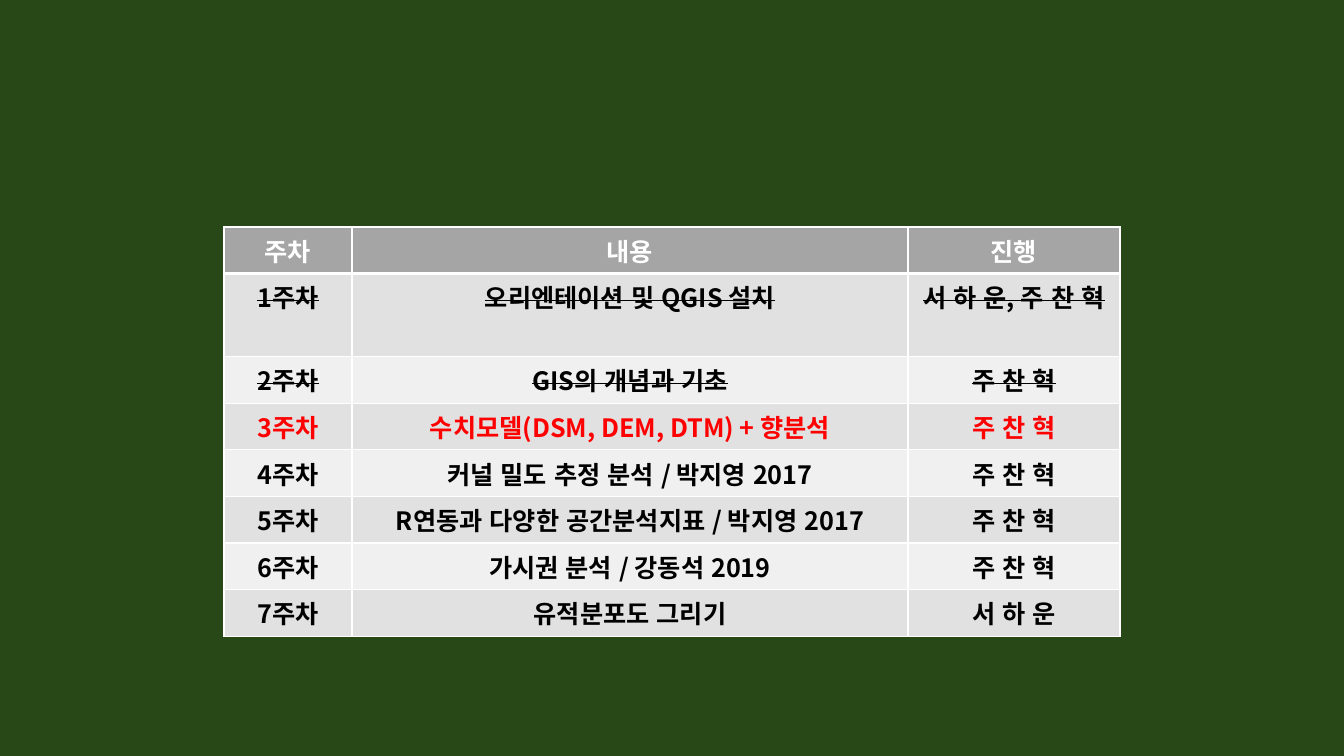
"""Build the weekly study schedule slide."""
from lxml import etree
from pptx import Presentation
from pptx.dml.color import RGBColor
from pptx.enum.lang import MSO_LANGUAGE_ID
from pptx.enum.text import PP_ALIGN
from pptx.oxml.ns import qn
from pptx.util import Emu, Pt

CENTER = PP_ALIGN.CENTER
KOREAN = MSO_LANGUAGE_ID.KOREAN
SLIDE_WIDTH = 12192000
PX = SLIDE_WIDTH / 1344
FONT = "Noto Sans CJK KR"
GREEN = RGBColor(0x29, 0x48, 0x17)
WHITE = RGBColor(0xFF, 0xFF, 0xFF)
BLACK = RGBColor(0x00, 0x00, 0x00)
RED = RGBColor(0xFF, 0x00, 0x00)
HEADER_GRAY = RGBColor(0xA5, 0xA5, 0xA5)
DARK_BAND = RGBColor(0xE1, 0xE1, 0xE1)
LIGHT_BAND = RGBColor(0xF0, 0xF0, 0xF0)

COLUMN_WIDTHS = [128, 556, 212]
ROW_HEIGHT = 41
SIDE_MARGIN = 13
FINISHED_WEEKS = (1, 2)
CURRENT_WEEK = 3
SCHEDULE = [
    ("주차", "내용", "진행"),
    ("1주차", "오리엔테이션 및 QGIS 설치", "서 하 운, 주 찬 혁"),
    ("2주차", "GIS의 개념과 기초", "주 찬 혁"),
    ("3주차", "수치모델(DSM, DEM, DTM) + 향분석", "주 찬 혁"),
    ("4주차", "커널 밀도 추정 분석 / 박지영 2017", "주 찬 혁"),
    ("5주차", "R연동과 다양한 공간분석지표 / 박지영 2017", "주 찬 혁"),
    ("6주차", "가시권 분석 / 강동석 2019", "주 찬 혁"),
    ("7주차", "유적분포도 그리기", "서 하 운"),
]


def px(length):
    return Emu(round(length * PX))


def add_border(cell, side, points):
    properties = cell._tc.get_or_add_tcPr()
    line = etree.SubElement(properties, qn(f"a:ln{side}"), w=str(Pt(points)))
    fill = etree.SubElement(line, qn("a:solidFill"))
    etree.SubElement(fill, qn("a:srgbClr"), val=str(WHITE))


deck = Presentation()
deck.slide_width = px(1344)
deck.slide_height = px(756)
page = deck.slides.add_slide(deck.slide_layouts[6])
page.background.fill.solid()
page.background.fill.fore_color.rgb = GREEN

frame = page.shapes.add_table(
    len(SCHEDULE), len(COLUMN_WIDTHS), px(224), px(227),
    px(sum(COLUMN_WIDTHS)), px(ROW_HEIGHT * len(SCHEDULE)))
table = frame.table
for column, width in zip(table.columns, COLUMN_WIDTHS):
    column.width = px(width)

for week, texts in enumerate(SCHEDULE):
    table.rows[week].height = px(ROW_HEIGHT)
    if week == 0:
        band, color = HEADER_GRAY, WHITE
    else:
        band = DARK_BAND if week % 2 else LIGHT_BAND
        color = RED if week == CURRENT_WEEK else BLACK
    for index, text in enumerate(texts):
        cell = table.cell(week, index)
        for side in "LRTB":
            under_header = (week, side) in ((0, "B"), (1, "T"))
            add_border(cell, side, 3 if under_header else 1)
        cell.fill.solid()
        cell.fill.fore_color.rgb = band
        cell.margin_left = cell.margin_right = px(SIDE_MARGIN)
        para = cell.text_frame.paragraphs[0]
        para.text = text
        para.alignment = CENTER
        span = para.runs[0]
        span.font.size = Pt(18)
        span.font.bold = True
        span.font.color.rgb = color
        span.font.name = FONT
        span.font.language_id = KOREAN
        style = span._r.get_or_add_rPr()
        etree.SubElement(style, qn("a:ea"), typeface=FONT)
        if week in FINISHED_WEEKS:
            style.set("strike", "sngStrike")

deck.save("out.pptx")
